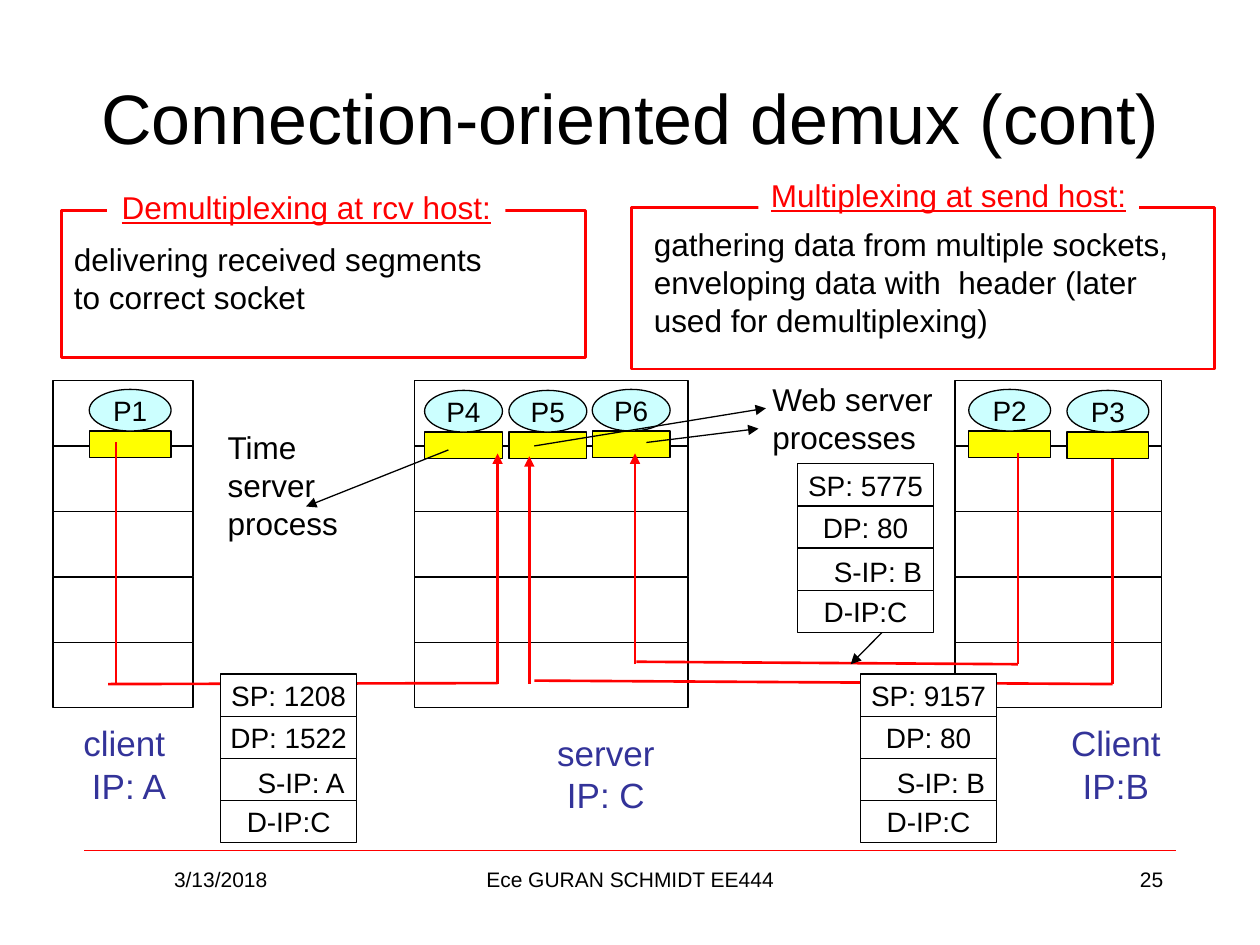
"""Build the slide on connection-oriented demultiplexing between two clients and a server."""
from dataclasses import dataclass
from lxml import etree
from pptx import Presentation
from pptx import util as u
from pptx.dml.color import RGBColor
from pptx.enum import shapes, text
from pptx.oxml.ns import qn


@dataclass(frozen=True)
class Theme:
    font: str = "Arial"
    ink: str = "000000"
    paper: str = "FFFFFF"
    signal: str = "FF0000"
    host: str = "333399"
    process: str = "CCFFFF"
    socket: str = "FFFF00"
    title: int = 40
    label: int = 20
    body: int = 18
    small: int = 16
    footer: int = 12
    hairline: float = 0.25
    thin: float = 0.75
    thick: float = 1.5


theme = Theme()
LEFT, CENTER, RIGHT = text.PP_ALIGN.LEFT, text.PP_ALIGN.CENTER, text.PP_ALIGN.RIGHT
RECT, OVAL = shapes.MSO_SHAPE.RECTANGLE, shapes.MSO_SHAPE.OVAL

TITLE = "Connection-oriented demux (cont)"
FOOTERS = [
    ("3/13/2018", 1.7, 5.5, CENTER),
    ("Ece GURAN SCHMIDT EE444", 8.68, 8.05, CENTER),
    ("25", 18.2, 5.5, RIGHT),
]
STACK_TOP, LAYERS, LAYER_HEIGHT = 7.67, 5, 1.32
STACKS = [(1.07, 2.82), (8.36, 5.51), (19.25, 4.17)]
SOCKET_DROP, SOCKET_HEIGHT = 0.84, 0.53
PROCESSES = [
    ("P1", 1.8, 7.85, 1.65),
    ("P2", 19.53, 7.85, 1.65),
    ("P3", 21.51, 7.87, 1.65),
    ("P4", 8.56, 7.87, 1.57),
    ("P5", 10.26, 7.87, 1.57),
    ("P6", 11.94, 7.85, 1.57),
]
HOSTS = [
    ("client\n IP: A", 1.4, 14.43, 2.21),
    ("server\nIP: C", 10.97, 14.63, 2.49),
    ("Client\nIP:B", 21.29, 14.43, 2.41),
]
CONNECTIONS = [
    ((2.34, 8.92), (2.34, 13.79), False),
    ((2.18, 13.79), (10.03, 13.77), False),
    ((10.03, 13.79), (10.03, 9.14), True),
    ((22.43, 9.25), (22.43, 13.79), False),
    ((10.77, 13.72), (22.43, 13.79), False),
    ((10.67, 13.79), (10.67, 9.2), True),
    ((20.52, 9.14), (20.52, 13.39), False),
    ((12.83, 13.34), (20.52, 13.39), False),
    ((12.8, 13.39), (12.8, 9.14), True),
]
HEADER_WIDTH, FIELD_HEIGHT = 2.74, 0.85
HEADERS = [
    (4.45, 13.59, ["SP: 1208", "DP: 1522", "S-IP: A", "D-IP:C"]),
    (17.35, 13.59, ["SP: 9157", "DP: 80", "S-IP: B", "D-IP:C"]),
    (16.08, 9.35, ["SP: 5775", "DP: 80", "S-IP: B", "D-IP:C"]),
]
PANELS = [
    ("Demultiplexing at rcv host:", (2.16, 3.66, 8.03, 1.02), (1.24, 4.24, 10.57, 2.97),
     "delivering received segments\nto correct socket", (1.24, 4.72, 10.57, 2)),
    ("Multiplexing at send host:", (15.29, 3.43, 7.67, 1.02), (12.73, 4.19, 11.76, 3.25),
     "gathering data from multiple sockets, enveloping data with  header (later used for demultiplexing)",
     (12.93, 4.42, 11.61, 2.64)),
]
NOTES = [
    ("Time server process", (4.34, 8.51, 3.15, 2.54)),
    ("Web server processes", (15.32, 7.54, 4.04, 1.78)),
]
POINTERS = [
    ((17.78, 12.75), (17.15, 13.39)),
    ((9.04, 9.07), (6.17, 10.21)),
    ((10.77, 8.99), (15.44, 8.23)),
    ((13.03, 8.92), (15.29, 8.64)),
]


def color(value):
    return RGBColor.from_string(value)


def write(shape, words, size, ink=theme.ink, align=CENTER, underline=None, wrap=True):
    frame = shape.text_frame
    frame.text = words
    frame.word_wrap = wrap
    frame.auto_size = text.MSO_AUTO_SIZE.NONE
    for para in frame.paragraphs:
        para.alignment = align
        para.font.name, para.font.size = theme.font, u.Pt(size)
        para.font.color.rgb = color(ink)
        para.font.underline = underline
    return frame


def add_text(slide, place, words, size, **style):
    return write(slide.shapes.add_textbox(*map(u.Cm, place)), words, size, **style)


def add_box(slide, place, fill=None, line=theme.ink, weight=theme.thin, kind=RECT):
    box = slide.shapes.add_shape(kind, *map(u.Cm, place))
    box.shadow.inherit = False
    if fill:
        box.fill.solid()
        box.fill.fore_color.rgb = color(fill)
    else:
        box.fill.background()
    if line:
        box.line.color.rgb = color(line)
        box.line.width = u.Pt(weight)
    else:
        box.line.fill.background()
    return box


def add_line(slide, start, end, ink, weight, arrow=False):
    line = slide.shapes.add_connector(shapes.MSO_CONNECTOR.STRAIGHT, *map(u.Cm, start + end))
    line.line.color.rgb = color(ink)
    line.line.width = u.Pt(weight)
    if arrow:
        etree.SubElement(line.line._get_or_add_ln(), qn("a:tailEnd"), type="triangle")
    etree.SubElement(line._element.spPr, qn("a:effectLst"))


def add_header(slide, left, top, fields):
    for row, field in enumerate(fields):
        cell = add_box(slide, (left, top + row * FIELD_HEIGHT, HEADER_WIDTH, FIELD_HEIGHT), theme.paper)
        frame = write(cell, field, theme.small)
        frame.vertical_anchor = text.MSO_ANCHOR.MIDDLE
        source = field.startswith("S-IP")
        frame.margin_left, frame.margin_top = u.Cm(0.5 * source), u.Cm(0.1 * source)
        frame.margin_right = frame.margin_bottom = 0


def add_process(slide, name, left, top, width):
    add_box(slide, (left, top + SOCKET_DROP, width, SOCKET_HEIGHT), theme.socket)
    bubble = add_box(slide, (left, top, width, SOCKET_DROP), theme.process, kind=OVAL)
    write(bubble, name, theme.small, wrap=False).vertical_anchor = text.MSO_ANCHOR.MIDDLE


def main():
    deck = Presentation()
    deck.slide_width, deck.slide_height = u.Cm(25.4), u.Cm(19.05)
    slide = deck.slides.add_slide(deck.slide_layouts[5])
    title = slide.shapes.title
    title.left, title.top, title.width, title.height = map(u.Cm, (1.27, 0.76, 22.86, 3.18))
    write(title, TITLE, theme.title).vertical_anchor = text.MSO_ANCHOR.MIDDLE

    add_line(slide, (1.7, 17.15), (23.7, 17.15), theme.signal, theme.hairline)
    for words, left, width, align in FOOTERS:
        add_text(slide, (left, 17.35, width, 1.31), words, theme.footer, align=align)
    for left, width in STACKS:
        for layer in range(LAYERS):
            add_box(slide, (left, STACK_TOP + layer * LAYER_HEIGHT, width, LAYER_HEIGHT), theme.paper)
    for process in PROCESSES:
        add_process(slide, *process)
    for words, left, top, width in HOSTS:
        add_text(slide, (left, top, width, 1.96), words, theme.label, ink=theme.host, wrap=False)
    for start, end, arrow in CONNECTIONS:
        add_line(slide, start, end, theme.signal, theme.thick, arrow)
    for header in HEADERS:
        add_header(slide, *header)
    for caption, caption_place, frame_place, words, words_place in PANELS:
        add_box(slide, frame_place, line=theme.signal, weight=theme.thick)
        add_text(slide, words_place, words, theme.body, align=LEFT)
        tab = add_box(slide, caption_place, theme.paper, line=None)
        write(tab, caption, theme.body, ink=theme.signal, underline=True, wrap=False)
        tab.text_frame.vertical_anchor = text.MSO_ANCHOR.TOP
    for words, place in NOTES:
        add_text(slide, place, words, theme.body, align=LEFT)
    for start, end in POINTERS:
        add_line(slide, start, end, theme.ink, theme.thin, True)
    deck.save("out.pptx")


if __name__ == "__main__":
    main()
